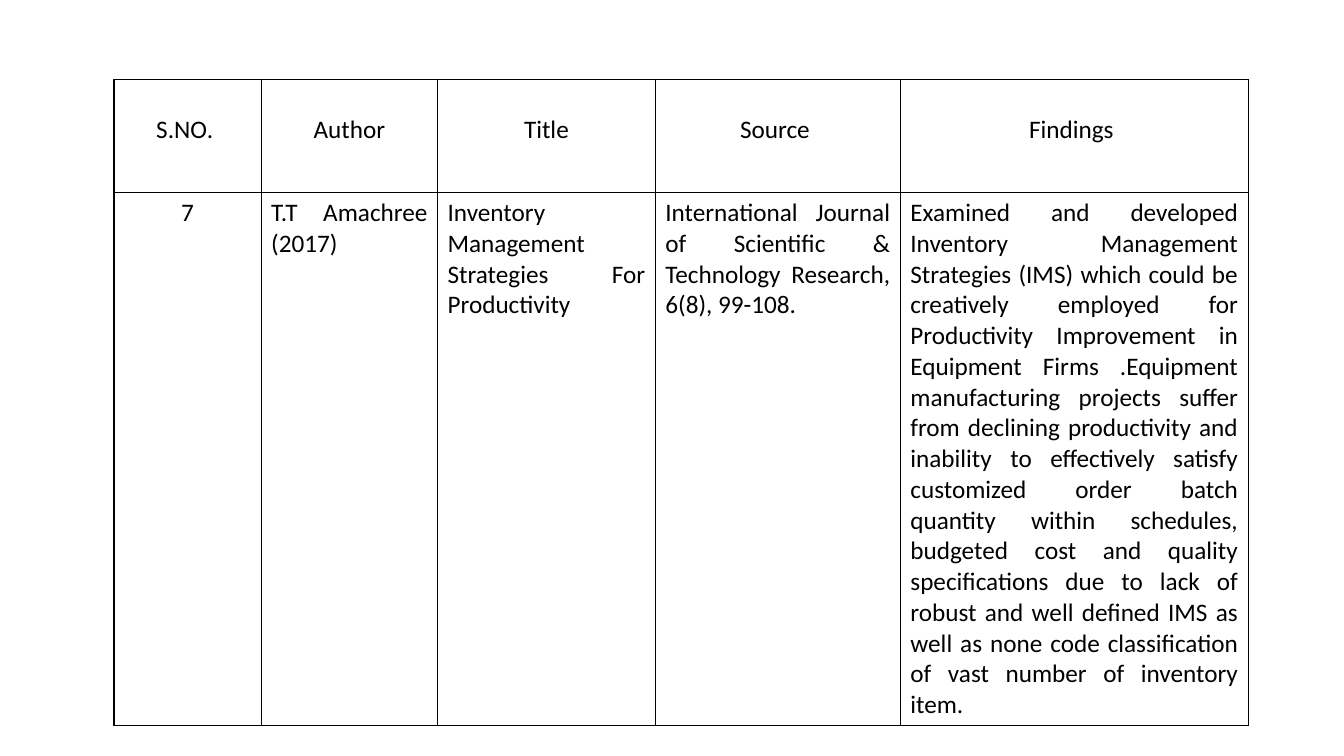
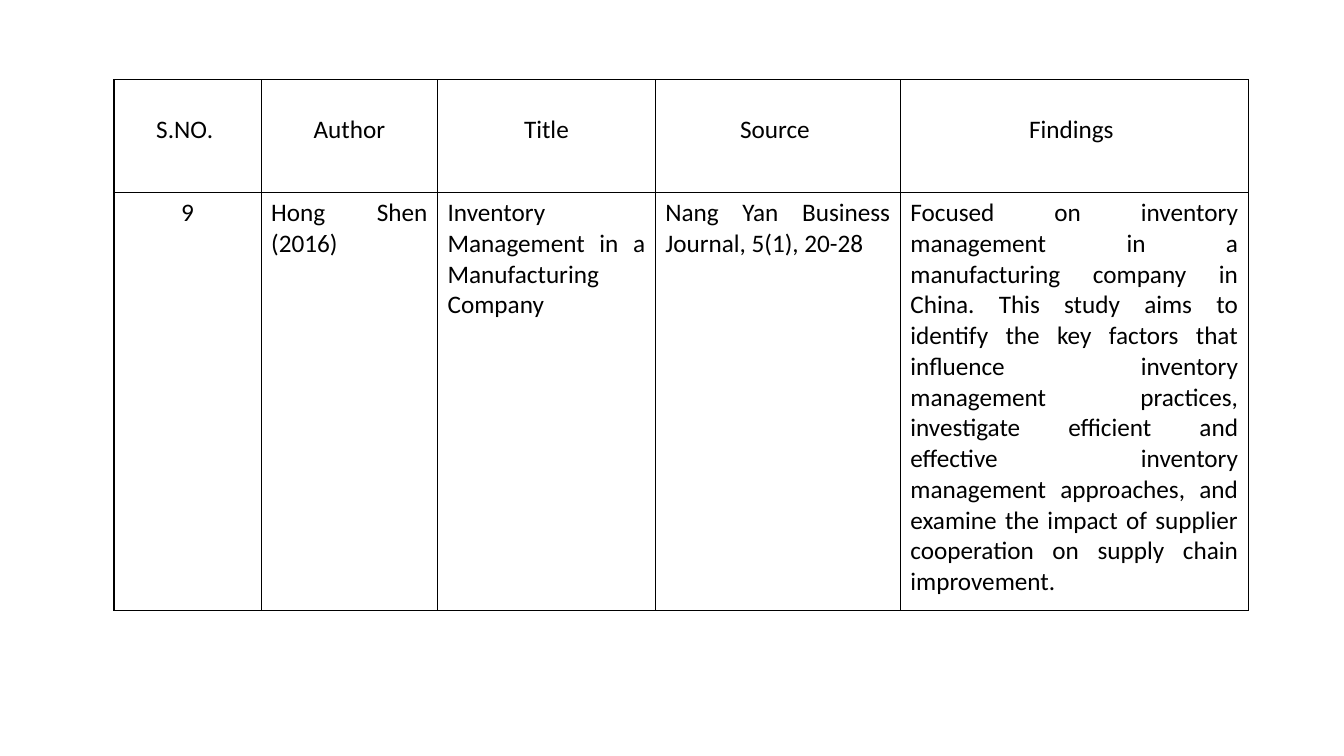
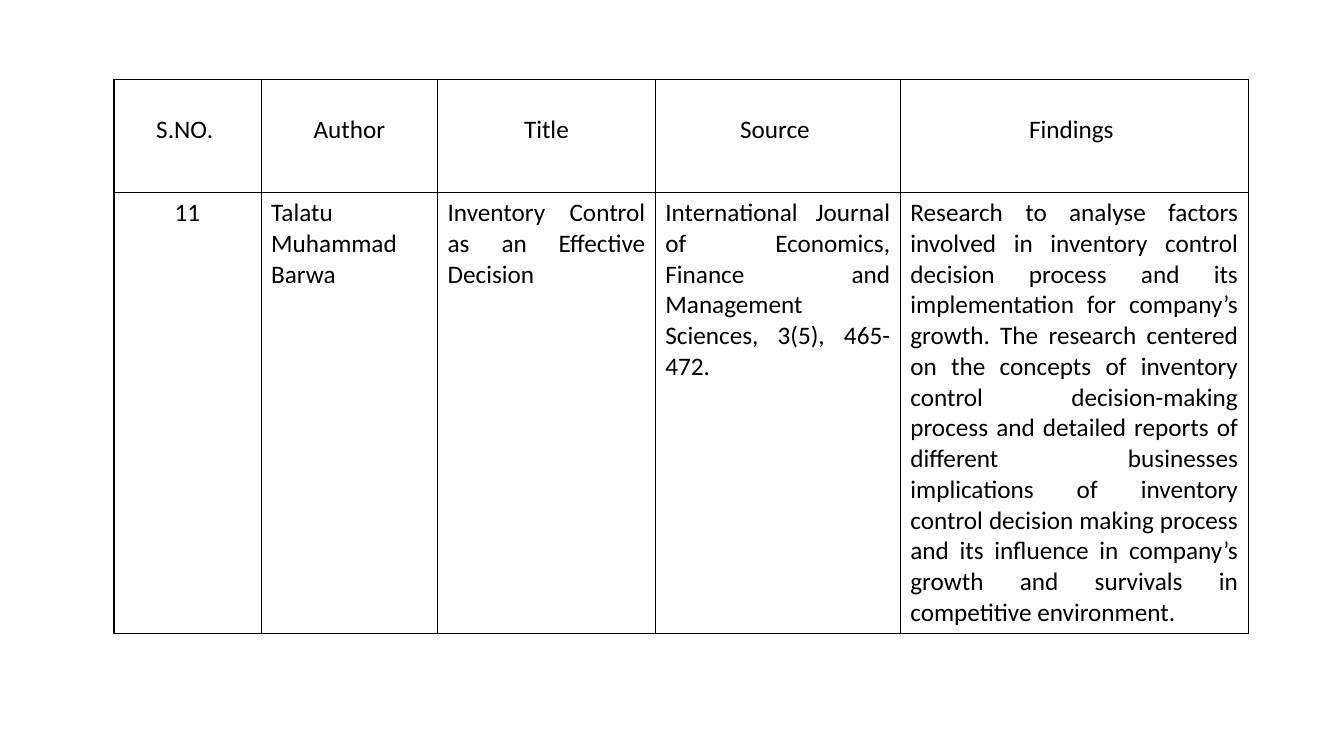
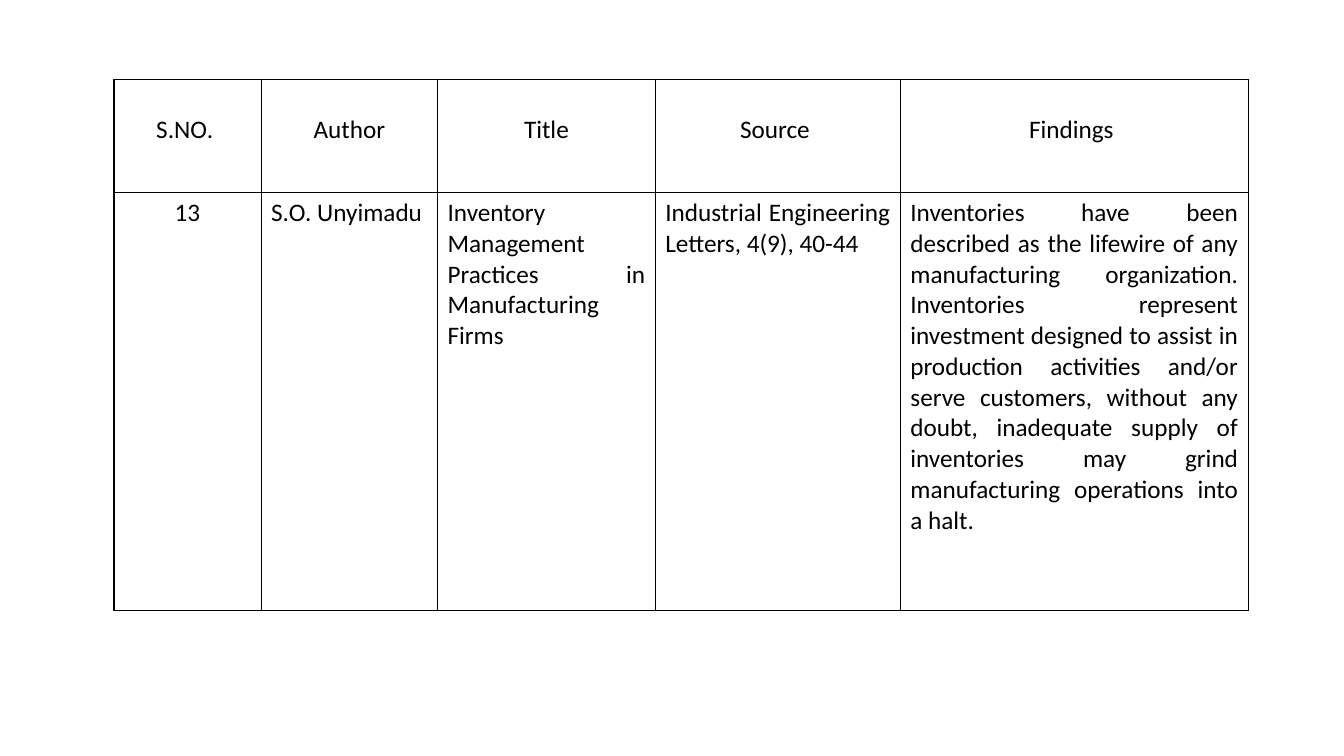
from lxml import etree
from pptx import Presentation
from pptx.dml.color import RGBColor
from pptx.enum.text import MSO_ANCHOR, PP_ALIGN
from pptx.oxml.ns import qn
from pptx.util import Inches, Pt

CENTER, JUSTIFY = PP_ALIGN.CENTER, PP_ALIGN.JUSTIFY
TOP = MSO_ANCHOR.TOP
COLORS = {"ink": "000000"}
FONT = "Calibri"
BLANK = 6

LEFT, UPPER = 1.13, 0.79
WIDTHS = [1.46, 1.75, 2.16, 2.43, 3.45]
HEAD_TALL = 1.12
HEADS = ["S.NO. ", "Author", "Title", "Source ", "Findings "]

# Each entry: height of the body row, then its cells.
PAPERS = [
    (5.2, [
        "7",
        "T.T Amachree (2017)",
        "Inventory Management Strategies For Productivity",
        "International Journal of Scientific & Technology Research, 6(8), 99-108.",
        "Examined and developed Inventory Management Strategies (IMS) which could be "
        "creatively employed for Productivity Improvement in Equipment Firms .Equipment "
        "manufacturing projects suffer from declining productivity and inability to "
        "effectively satisfy customized order batch quantity within schedules, budgeted "
        "cost and quality specifications due to lack of robust and well defined IMS as "
        "well as none code classification of vast number of inventory item.",
    ]),
    (4.15, [
        "9",
        "Hong Shen (2016)",
        "Inventory Management in a Manufacturing Company",
        "Nang Yan Business Journal, 5(1), 20-28",
        "Focused on inventory management in a manufacturing company in China. This study "
        "aims to identify the key factors that influence inventory management practices, "
        "investigate efficient and effective inventory management approaches, and examine "
        "the impact of supplier cooperation on supply chain improvement.",
    ]),
    (4.3, [
        "11",
        "Talatu Muhammad Barwa",
        "Inventory Control as an Effective Decision",
        "International Journal of Economics, Finance and Management Sciences, 3(5), 465-472.",
        "Research to analyse factors involved in inventory control decision process and "
        "its implementation for company’s growth. The research centered on the concepts of "
        "inventory control decision-making process and detailed reports of different "
        "businesses implications of inventory control decision making process and its "
        "influence in company’s growth and survivals in competitive environment.",
    ]),
    (4.15, [
        "13",
        "S.O. Unyimadu",
        "Inventory Management Practices in Manufacturing Firms",
        "Industrial Engineering Letters, 4(9), 40-44",
        "Inventories have been described as the lifewire of any manufacturing "
        "organization. Inventories represent investment designed to assist in production "
        "activities and/or serve customers, without any doubt, inadequate supply of "
        "inventories may grind manufacturing operations into a halt.",
    ]),
]


def write(frame, text, size=18, color="ink", align=JUSTIFY, bold=False):
    para = frame.paragraphs[0]
    para.alignment = align
    run = para.add_run()
    run.text = text
    font = run.font
    font.name, font.size, font.bold = FONT, Pt(size), bold
    font.color.rgb = RGBColor.from_string(COLORS[color])


def border(cell, color="ink", width=1):
    props = cell._tc.get_or_add_tcPr()
    for side in ("lnL", "lnR", "lnT", "lnB"):
        line = etree.SubElement(props, qn("a:" + side), w=str(Pt(width)))
        fill = etree.SubElement(line, qn("a:solidFill"))
        etree.SubElement(fill, qn("a:srgbClr"), val=COLORS[color])


class Deck:
    def __init__(self):
        self.prs = Presentation()
        self.prs.slide_width, self.prs.slide_height = Inches(13.33), Inches(7.5)
        self.slide = None

    def page(self):
        self.slide = self.prs.slides.add_slide(self.prs.slide_layouts[BLANK])

    def cell(self, cell, text, align=JUSTIFY, top=0.05):
        border(cell)
        cell.fill.background()
        cell.vertical_anchor = TOP
        cell.margin_top = Inches(top)
        write(cell.text_frame, text, align=align)

    def table(self, cells, tall):
        heights = [HEAD_TALL, tall]
        shape = self.slide.shapes.add_table(
            len(heights), len(WIDTHS), Inches(LEFT), Inches(UPPER),
            Inches(sum(WIDTHS)), Inches(sum(heights)))
        table = shape.table
        table.first_row = table.horz_banding = False
        for row, height in zip(table.rows, heights):
            row.height = Inches(height)
        for col, width in enumerate(WIDTHS):
            table.columns[col].width = Inches(width)
            self.cell(table.cell(0, col), HEADS[col], align=CENTER, top=0.35)
            self.cell(table.cell(1, col), cells[col],
                      align=JUSTIFY if col else CENTER)


def main():
    deck = Deck()
    for tall, cells in PAPERS:
        deck.page()
        deck.table(cells, tall)
    deck.prs.save("out.pptx")


if __name__ == "__main__":
    main()
